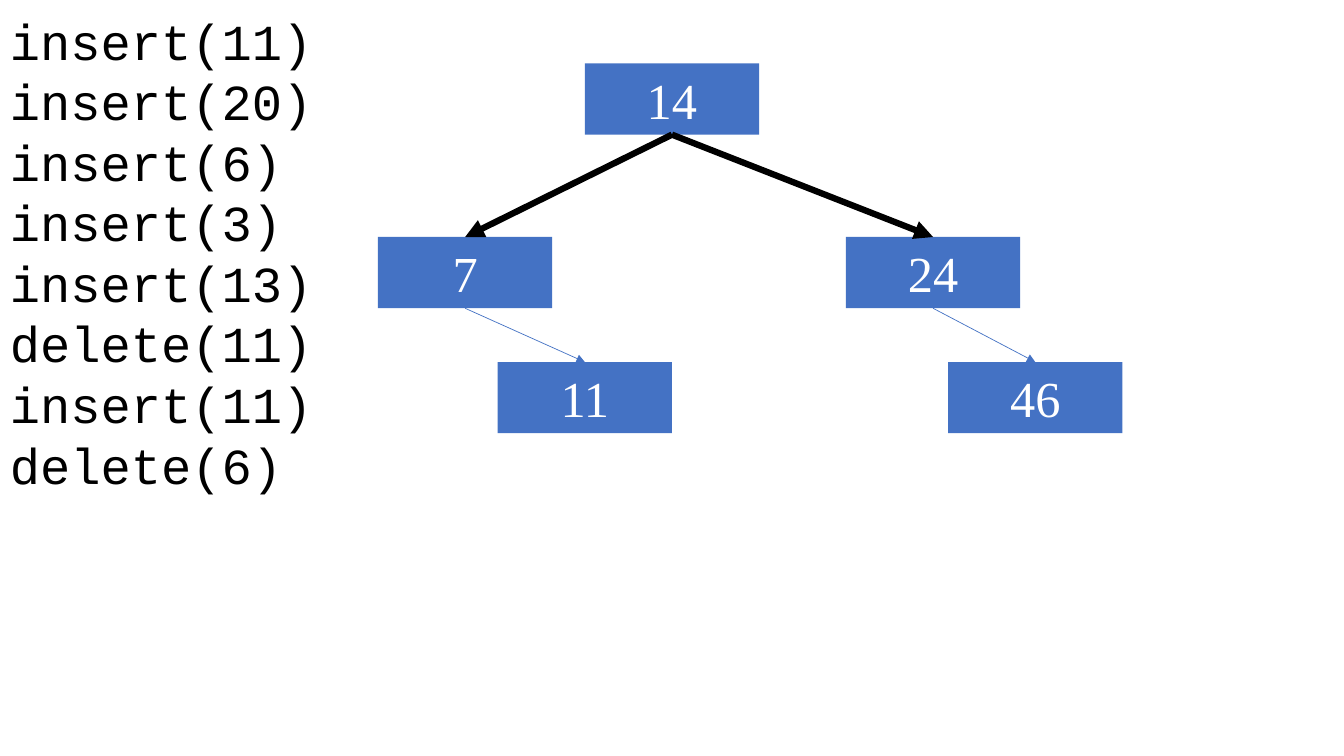
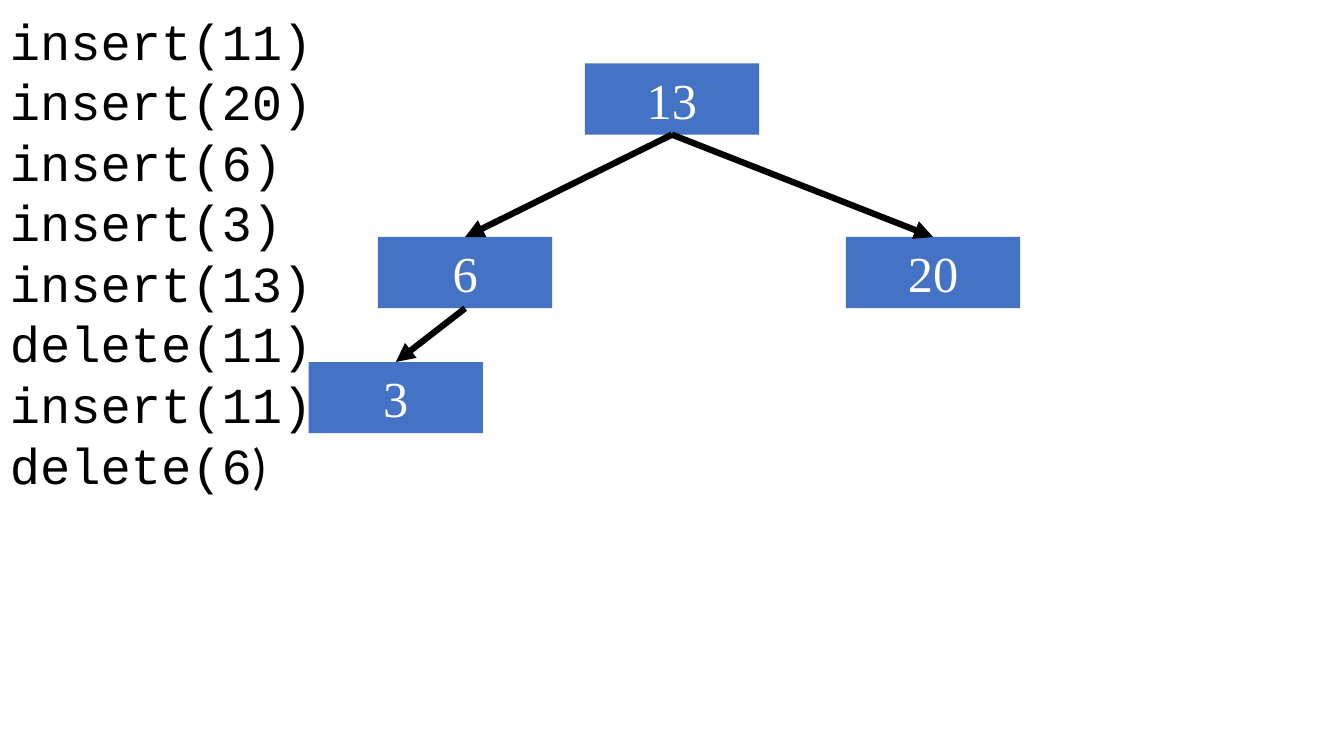
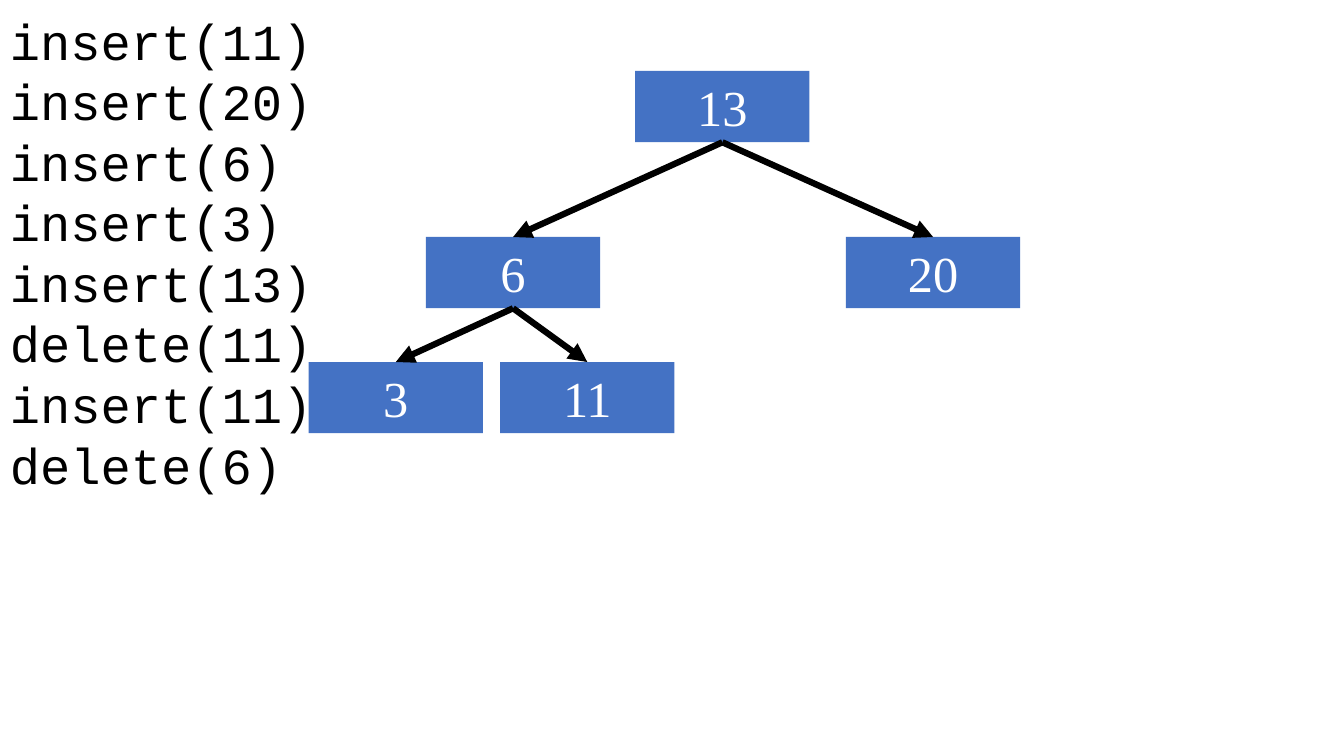
from dataclasses import dataclass
from typing import Any

import lxml.etree
import pptx
import pptx.dml.color
import pptx.enum.shapes
import pptx.enum.text
import pptx.oxml.ns
import pptx.util

Pt = pptx.util.Pt
RGB = pptx.dml.color.RGBColor
qn = pptx.oxml.ns.qn


@dataclass(frozen=True)
class Theme:
    blue: RGB = RGB(0x44, 0x72, 0xC4)
    black: RGB = RGB(0, 0, 0)
    white: RGB = RGB(255, 255, 255)
    key_font: str = "Times New Roman"
    code_font: str = "Courier New"
    plain_font: str = "Calibri"
    text_size: float = 36
    code_pitch: float = 43.25
    thick: float = 4.5
    thin: float = 0.5
    node_width: float = 124.5
    node_height: float = 50.9


@dataclass(frozen=True)
class Node:
    key: str
    left: float
    top: float


@dataclass(frozen=True)
class Edge:
    parent: str
    child: str
    thin: bool = False


@dataclass(frozen=True)
class Tree:
    nodes: tuple[Node, ...]
    edges: tuple[Edge, ...]
    closing_font: str


THEME = Theme()
ROOT_TOP, CHILD_TOP, LEAF_TOP = 45.3, 169.3, 258.6
ROOT_LEFT, RIGHT_LEFT, LEFT_LEFT, LEAF_LEFT = 417.75, 604.25, 270, 220.5

OPERATIONS = (
    "insert(11)", "insert(20)", "insert(6)", "insert(3)",
    "insert(13)", "delete(11)", "insert(11)", "delete(6)",
)

TREES = (
    Tree(
        (
            Node("14", ROOT_LEFT, ROOT_TOP),
            Node("24", RIGHT_LEFT, CHILD_TOP),
            Node("7", LEFT_LEFT, CHILD_TOP),
            Node("11", 355.5, LEAF_TOP),
            Node("46", 677.25, LEAF_TOP),
        ),
        (
            Edge("14", "24"), Edge("14", "7"),
            Edge("7", "11", thin=True), Edge("24", "46", thin=True),
        ),
        THEME.code_font,
    ),
    Tree(
        (
            Node("13", ROOT_LEFT, ROOT_TOP),
            Node("20", RIGHT_LEFT, CHILD_TOP),
            Node("6", LEFT_LEFT, CHILD_TOP),
            Node("3", LEAF_LEFT, LEAF_TOP),
        ),
        (Edge("13", "20"), Edge("13", "6"), Edge("6", "3")),
        THEME.plain_font,
    ),
    Tree(
        (
            Node("13", 453.75, 50.75),
            Node("20", RIGHT_LEFT, CHILD_TOP),
            Node("6", 304.25, CHILD_TOP),
            Node("3", LEAF_LEFT, LEAF_TOP),
            Node("11", 357.25, LEAF_TOP),
        ),
        (Edge("13", "20"), Edge("13", "6"), Edge("6", "3"), Edge("6", "11")),
        THEME.code_font,
    ),
)

CODE_FRAME = {
    "word_wrap": False,
    "auto_size": pptx.enum.text.MSO_AUTO_SIZE.SHAPE_TO_FIT_TEXT,
    "vertical_anchor": pptx.enum.text.MSO_ANCHOR.MIDDLE,
    "margin_top": Pt(7),
}
NODE_FRAME = {
    "word_wrap": True,
    "auto_size": pptx.enum.text.MSO_AUTO_SIZE.SHAPE_TO_FIT_TEXT,
    "vertical_anchor": pptx.enum.text.MSO_ANCHOR.MIDDLE,
}


def apply(target: Any, values: dict[str, Any]) -> None:
    for attribute, value in values.items():
        setattr(target, attribute, value)


def add_text(paragraph: Any, text: str, font: str, colour: RGB) -> None:
    run = paragraph.add_run()
    run.text = text
    apply(run.font, {"name": font, "size": Pt(THEME.text_size)})
    run.font.color.rgb = colour


def draw_operations(slide: Any, closing_font: str) -> None:
    listing = slide.shapes.add_textbox(0, 0, Pt(232.5), Pt(356.4))
    apply(listing.text_frame, CODE_FRAME)
    paragraph = listing.text_frame.paragraphs[0]
    paragraph.line_spacing = Pt(THEME.code_pitch)
    for index, operation in enumerate(OPERATIONS):
        if index:
            paragraph.add_line_break()
        if index == len(OPERATIONS) - 1 and closing_font != THEME.code_font:
            add_text(paragraph, operation[:-1], THEME.code_font, THEME.black)
            add_text(paragraph, operation[-1], closing_font, THEME.black)
        else:
            add_text(paragraph, operation, THEME.code_font, THEME.black)


def draw_node(slide: Any, node: Node) -> Any:
    box = slide.shapes.add_shape(
        pptx.enum.shapes.MSO_SHAPE.RECTANGLE,
        Pt(node.left), Pt(node.top), Pt(THEME.node_width), Pt(THEME.node_height),
    )
    box.shadow.inherit = False
    box.fill.solid()
    box.fill.fore_color.rgb = THEME.blue
    box.line.fill.background()
    apply(box.text_frame, NODE_FRAME)
    paragraph = box.text_frame.paragraphs[0]
    paragraph.alignment = pptx.enum.text.PP_ALIGN.CENTER
    add_text(paragraph, node.key, THEME.key_font, THEME.white)
    return box


def draw_edge(slide: Any, parent: Any, child: Any, thin: bool) -> None:
    arrow = slide.shapes.add_connector(
        pptx.enum.shapes.MSO_CONNECTOR.STRAIGHT, 0, 0, 0, 0
    )
    arrow.begin_connect(parent, 2)
    arrow.end_connect(child, 0)
    arrow.line.color.rgb = THEME.blue if thin else THEME.black
    arrow.line.width = Pt(THEME.thin if thin else THEME.thick)
    properties = arrow.element.spPr
    outline = properties.find(qn("a:ln"))
    lxml.etree.SubElement(outline, qn("a:tailEnd"), type="triangle")
    lxml.etree.SubElement(properties, qn("a:effectLst"))


def draw_tree(slide: Any, tree: Tree) -> None:
    draw_operations(slide, tree.closing_font)
    boxes = {node.key: draw_node(slide, node) for node in tree.nodes}
    for edge in tree.edges:
        draw_edge(slide, boxes[edge.parent], boxes[edge.child], edge.thin)


def main() -> None:
    deck = pptx.Presentation()
    apply(deck, {"slide_width": Pt(960), "slide_height": Pt(540)})
    blank = deck.slide_layouts[6]
    for tree in TREES:
        draw_tree(deck.slides.add_slide(blank), tree)
    deck.save("out.pptx")


if __name__ == "__main__":
    main()
